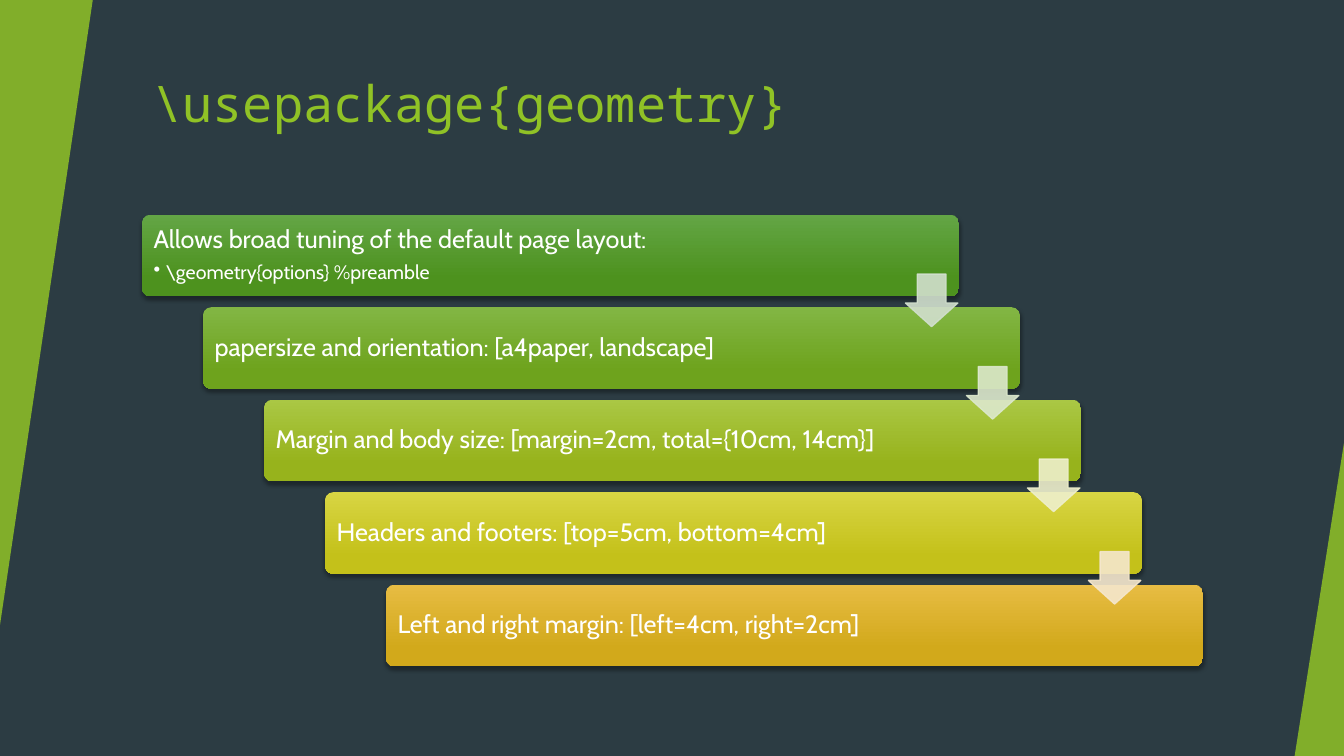
"""Build a slide on the geometry package as a staircase of five bars."""
import lxml.etree
import pptx
import pptx.dml.color
import pptx.enum.shapes
import pptx.enum.text
import pptx.oxml.ns
import pptx.util

Inches = pptx.util.Inches
Pt = pptx.util.Pt
RGBColor = pptx.dml.color.RGBColor
Shape = pptx.enum.shapes.MSO_SHAPE
Anchor = pptx.enum.text.MSO_ANCHOR
Align = pptx.enum.text.PP_ALIGN
qn = pptx.oxml.ns.qn

SLATE = RGBColor(0x2C, 0x3C, 0x43)
LIME = RGBColor(0x90, 0xC2, 0x26)
WHITE = RGBColor(0xFF, 0xFF, 0xFF)
LEAF_TOP, LEAF_END = RGBColor(0x63, 0xA5, 0x45), RGBColor(0x4D, 0x92, 0x1E)
GRASS_TOP, GRASS_END = RGBColor(0x82, 0xB6, 0x44), RGBColor(0x6E, 0xA3, 0x1D)
OLIVE_TOP, OLIVE_END = RGBColor(0xAA, 0xC7, 0x44), RGBColor(0x97, 0xB3, 0x1C)
LEMON_TOP, LEMON_END = RGBColor(0xD8, 0xD5, 0x43), RGBColor(0xC4, 0xC1, 0x1A)
GOLD_TOP, GOLD_END = RGBColor(0xE7, 0xBC, 0x43), RGBColor(0xD2, 0xA9, 0x1B)
ARROW_COLORS = [
    RGBColor(0xD1, 0xDF, 0xCD),
    RGBColor(0xDC, 0xE8, 0xCC),
    RGBColor(0xEE, 0xEF, 0xCC),
    RGBColor(0xF5, 0xE7, 0xCD),
]

STEPS = [
    ("Allows broad tuning of the default page layout:", LEAF_TOP, LEAF_END),
    ("papersize and orientation: [a4paper, landscape]", GRASS_TOP, GRASS_END),
    ("Margin and body size: [margin=2cm, total={10cm, 14cm}]", OLIVE_TOP, OLIVE_END),
    ("Headers and footers: [top=5cm, bottom=4cm]", LEMON_TOP, LEMON_END),
    ("Left and right margin: [left=4cm, right=2cm]", GOLD_TOP, GOLD_END),
]
FIRST_LEFT, FIRST_TOP = 1.41, 2.13
STEP_RIGHT, STEP_DOWN = 2.42 / 4, 3.67 / 4
ARROW_RIGHT, ARROW_DOWN = 7.57, 0.59


def apply(target, **values):
    """Set each named attribute on the target."""
    for name, value in values.items():
        setattr(target, name, value)


class Page:
    """Hold the style and the current slide."""

    text_font, code_font = "Cabin", "Noto Sans Mono"

    def __init__(self, deck):
        """Add a title-only slide with a dark background."""
        self.slide = deck.slides.add_slide(deck.slide_layouts[5])
        self.slide.background.fill.solid()
        self.slide.background.fill.fore_color.rgb = SLATE

    def add_span(self, para, text, size, color, font):
        """Add one formatted span to a paragraph."""
        span = para.add_run()
        span.text = text
        apply(span.font, size=Pt(size), name=font)
        span.font.color.rgb = color

    def title(self, text):
        """Move and format the title placeholder."""
        box = self.slide.shapes.title
        apply(box, left=Inches(1.41), top=Inches(0.67),
              width=Inches(11.15), height=Inches(1.2))
        apply(box.text_frame, vertical_anchor=Anchor.TOP, word_wrap=True,
              auto_size=pptx.enum.text.MSO_AUTO_SIZE.NONE)
        para = box.text_frame.paragraphs[0]
        para.alignment = Align.LEFT
        self.add_span(para, text, 36, LIME, self.code_font)

    def shape(self, kind, left, top, width, height, adjustments):
        """Add a preset shape without line or shadow."""
        shape = self.slide.shapes.add_shape(
            kind, Inches(left), Inches(top), Inches(width), Inches(height))
        for index, value in enumerate(adjustments):
            shape.adjustments[index] = value
        shape.shadow.inherit = False
        shape.line.fill.background()
        return shape

    def tint(self, shape, color, opacity):
        """Fill a shape with one translucent color."""
        shape.fill.solid()
        shape.fill.fore_color.rgb = color
        for node in shape.element.spPr.iter(qn("a:srgbClr")):
            lxml.etree.SubElement(node, qn("a:alpha"), val=str(opacity * 1000))

    def wedge(self, left, top, width, height, rotation):
        """Add a translucent green triangle at a slide edge."""
        shape = self.shape(Shape.ISOSCELES_TRIANGLE, left, top, width, height, [1])
        shape.rotation = rotation
        self.tint(shape, LIME, 85)

    def bar(self, left, top, text, start, end):
        """Add a shaded bar with its text."""
        shape = self.shape(Shape.ROUNDED_RECTANGLE, left, top, 8.1, 0.81, [0.1])
        shape.fill.gradient()
        shape.fill.gradient_angle = 270
        for stop, position, color in zip(shape.fill.gradient_stops, (0, 0.78), (start, end)):
            stop.position = position
            stop.color.rgb = color
        effects = shape.element.spPr.find(qn("a:effectLst"))
        shadow = lxml.etree.SubElement(
            effects, qn("a:outerShdw"), blurRad=str(Pt(3)), dist=str(Pt(2)),
            dir="5400000", algn="ctr", rotWithShape="0")
        black = lxml.etree.SubElement(shadow, qn("a:srgbClr"), val="000000")
        lxml.etree.SubElement(black, qn("a:alpha"), val="35000")
        frame = shape.text_frame
        apply(frame, word_wrap=True, vertical_anchor=Anchor.MIDDLE,
              margin_left=Inches(0.09), margin_right=Inches(0.09),
              margin_top=Inches(0.09), margin_bottom=Inches(0.09))
        self.line(frame.paragraphs[0], text, 18, 6.3)
        return frame

    def line(self, para, text, size, after):
        """Add a line of bar text."""
        apply(para, alignment=Align.LEFT, line_spacing=0.9, space_after=Pt(after))
        self.add_span(para, text, size, WHITE, self.text_font)

    def bullet(self, frame, text):
        """Add a bulleted second line to a bar."""
        para = frame.add_paragraph()
        para.level = 1
        self.line(para, text, 14, 2.1)
        properties = para._p.get_or_add_pPr()
        properties.set("marL", str(Inches(0.12)))
        properties.set("indent", str(Inches(-0.12)))
        lxml.etree.SubElement(properties, qn("a:buChar"), char="•")

    def arrow(self, left, top, color):
        """Add a pale arrow pointing down to the next bar."""
        shape = self.shape(Shape.DOWN_ARROW, left, top, 0.52, 0.52, [0.55, 0.45])
        shape.line.color.rgb = color
        shape.line.width = Pt(1)
        self.tint(shape, color, 90)


def main():
    """Build and save the deck."""
    deck = pptx.Presentation()
    apply(deck, slide_width=Inches(13.33), slide_height=Inches(7.5))
    page = Page(deck)
    page.title("\\usepackage{geometry}")
    page.wedge(0, 0, 0.92, 6.2, 180)
    page.wedge(12.84, 4.39, 0.49, 3.11, 0)
    places = [(FIRST_LEFT + index * STEP_RIGHT, FIRST_TOP + index * STEP_DOWN)
              for index in range(len(STEPS))]
    frames = [page.bar(*place, *step) for place, step in zip(places, STEPS)]
    page.bullet(frames[0], "\\geometry{options} %preamble")
    for (left, top), color in zip(places, ARROW_COLORS):
        page.arrow(left + ARROW_RIGHT, top + ARROW_DOWN, color)
    deck.save("out.pptx")


if __name__ == "__main__":
    main()
